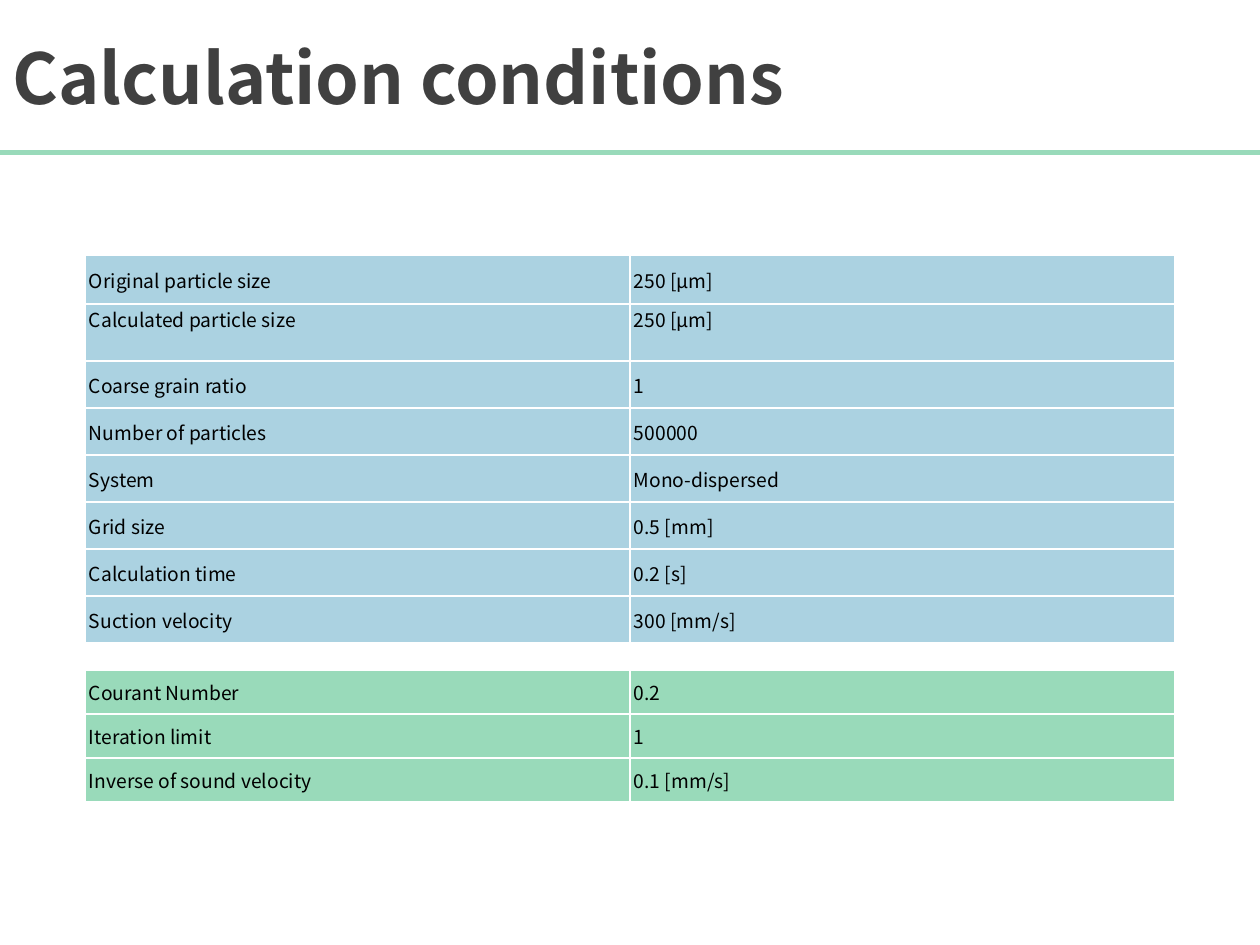
import pptx
import pptx.dml.color
import pptx.enum.shapes
import pptx.enum.text
import pptx.oxml
import pptx.oxml.ns
import pptx.util

RGBColor = pptx.dml.color.RGBColor
Anchor = pptx.enum.text.MSO_ANCHOR

TITLE = "Calculation conditions"
PARTICLE_ROWS = [
    ("Original particle size", "250 [μm]"),
    ("Calculated particle size", "250 [μm]"),
    ("Coarse grain ratio", "1"),
    ("Number of particles", "500000"),
    ("System", "Mono-dispersed"),
    ("Grid size", "0.5 [mm]"),
    ("Calculation time", "0.2 [s]"),
    ("Suction velocity", "300 [mm/s]"),
]
SOLVER_ROWS = [
    ("Courant Number", "0.2"),
    ("Iteration limit", "1"),
    ("Inverse of sound velocity", "0.1 [mm/s]"),
]

FONT = "Noto Sans CJK KR"
DARK_GRAY = RGBColor(0x40, 0x40, 0x40)
BLACK = RGBColor(0, 0, 0)
BLUE = RGBColor(0xAB, 0xD2, 0xE1)
GREEN = RGBColor(0x99, 0xDA, 0xBA)

EMU_PER_PX = 914400 // 126
SLIDE_WIDTH, SLIDE_HEIGHT = 1260, 945
TABLE_LEFT, COLUMN_WIDTH = 85, 545
PARTICLE_HEIGHTS = [49, 57] + [47] * 6
SOLVER_HEIGHTS = [44] * 3


def px(length):
    return pptx.util.Emu(length * EMU_PER_PX)


def write_text(text_frame, text, size, color, bold=False):
    paragraph = text_frame.paragraphs[0]
    paragraph.alignment = pptx.enum.text.PP_ALIGN.LEFT
    run = paragraph.add_run()
    run.text = text
    run.font.name = FONT
    run.font.size = pptx.util.Pt(size)
    run.font.bold = bold
    run.font.color.rgb = color


def add_white_borders(cell):
    properties = cell._tc.get_or_add_tcPr()
    for index, side in enumerate(("lnL", "lnR", "lnT", "lnB")):
        line = pptx.oxml.parse_xml(
            f'<a:{side} {pptx.oxml.ns.nsdecls("a")} w="12700"><a:solidFill>'
            f'<a:srgbClr val="FFFFFF"/></a:solidFill></a:{side}>'
        )
        properties.insert(index, line)


def add_condition_table(slide, rows, heights, top, fill, top_anchored=()):
    """Add a name and value table; rows in top_anchored keep text at the top."""
    table = slide.shapes.add_table(
        len(rows), 2, px(TABLE_LEFT), px(top), px(2 * COLUMN_WIDTH), px(sum(heights))
    ).table
    table.first_row = table.horz_banding = False
    for column in table.columns:
        column.width = px(COLUMN_WIDTH)
    for row_index, (values, height) in enumerate(zip(rows, heights)):
        table.rows[row_index].height = px(height)
        for column_index, value in enumerate(values):
            cell = table.cell(row_index, column_index)
            cell.fill.solid()
            cell.fill.fore_color.rgb = fill
            cell.margin_left = px(4)
            cell.margin_right = cell.margin_top = px(1)
            cell.margin_bottom = 0
            in_top = row_index in top_anchored
            cell.vertical_anchor = Anchor.TOP if in_top else Anchor.MIDDLE
            add_white_borders(cell)
            write_text(cell.text_frame, value, size=11, color=BLACK)


def main():
    presentation = pptx.Presentation()
    presentation.slide_width = px(SLIDE_WIDTH)
    presentation.slide_height = px(SLIDE_HEIGHT)
    slide = presentation.slides.add_slide(presentation.slide_layouts[5])

    title = slide.shapes.title
    title.left, title.top = px(0), px(3)
    title.width, title.height = px(SLIDE_WIDTH), px(147)
    title.text_frame.auto_size = pptx.enum.text.MSO_AUTO_SIZE.NONE
    title.text_frame.vertical_anchor = Anchor.MIDDLE
    write_text(title.text_frame, TITLE, size=40, color=DARK_GRAY, bold=True)

    rule = slide.shapes.add_shape(
        pptx.enum.shapes.MSO_SHAPE.RECTANGLE, px(0), px(150), px(SLIDE_WIDTH), px(5)
    )
    rule.shadow.inherit = False
    rule.fill.solid()
    rule.fill.fore_color.rgb = GREEN
    rule.line.fill.background()

    add_condition_table(
        slide, PARTICLE_ROWS, PARTICLE_HEIGHTS, top=255, fill=BLUE, top_anchored=(1,)
    )
    add_condition_table(slide, SOLVER_ROWS, SOLVER_HEIGHTS, top=670, fill=GREEN)
    presentation.save("out.pptx")


if __name__ == "__main__":
    main()
